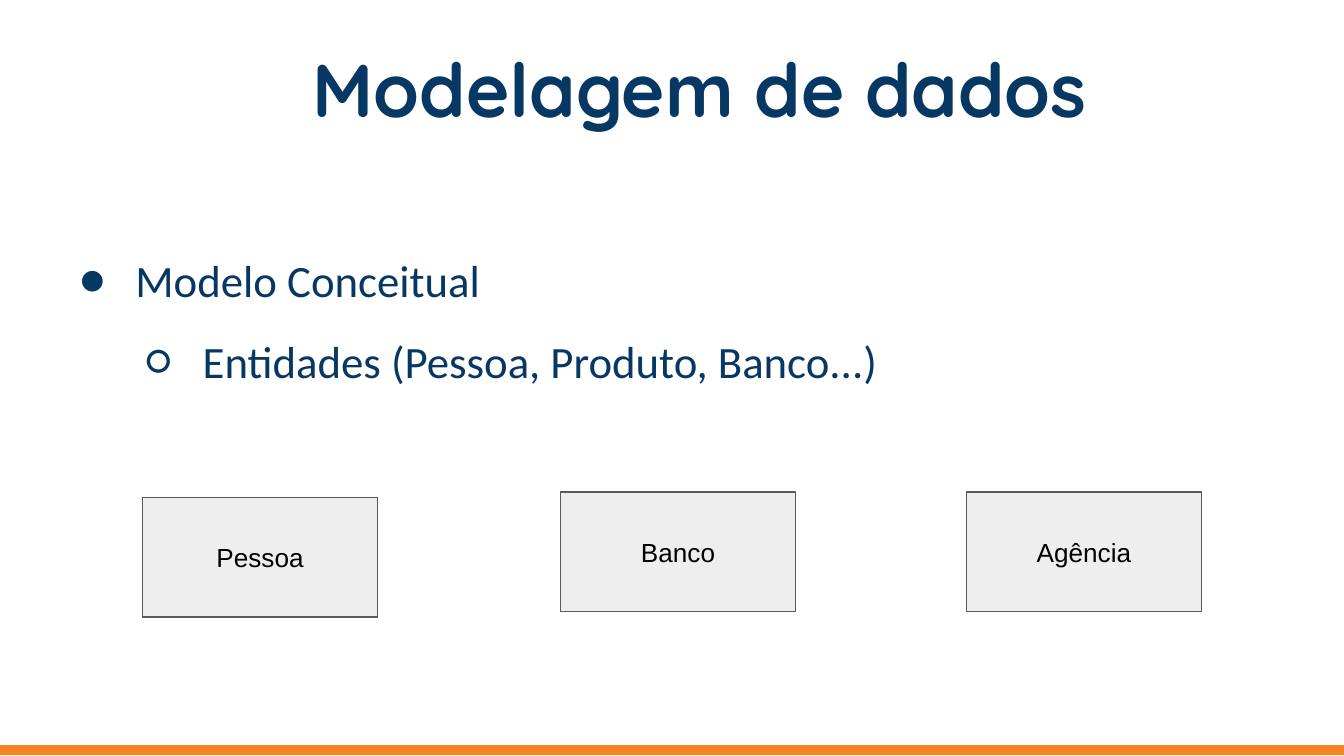
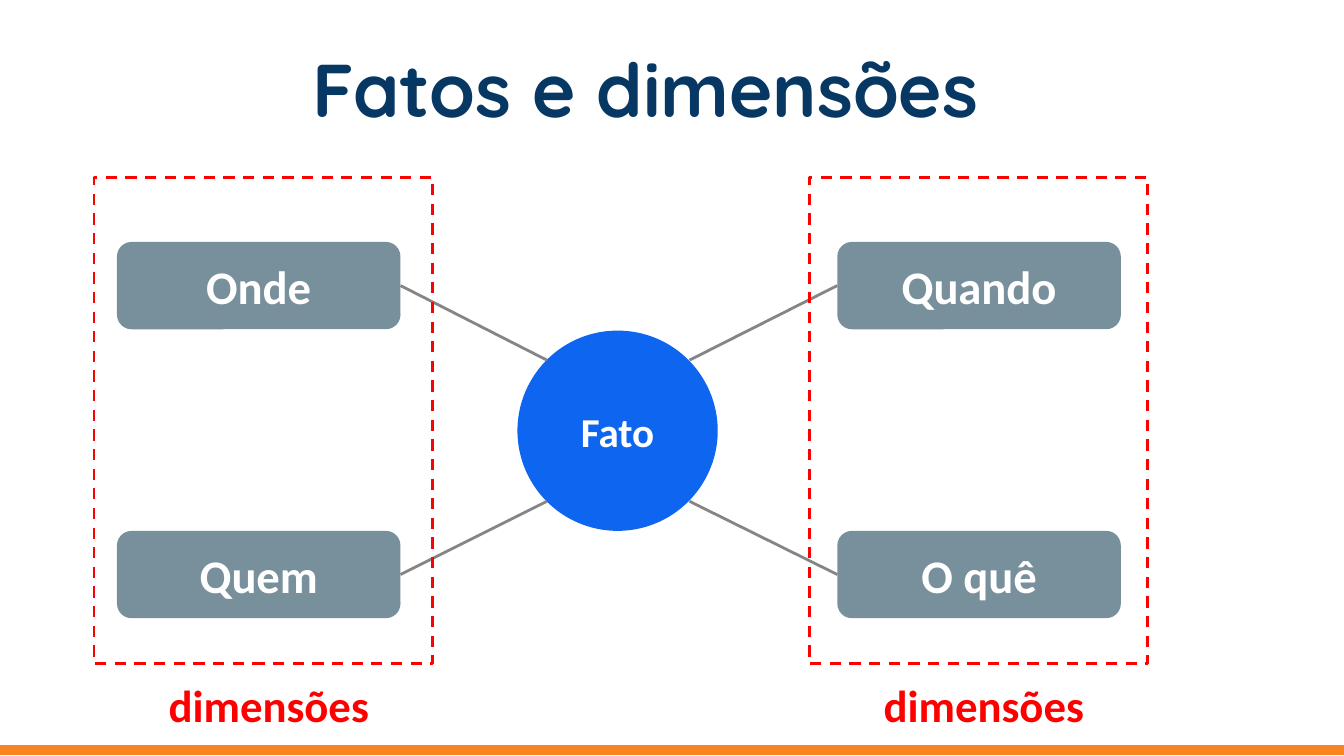
from dataclasses import dataclass

from lxml.etree import SubElement
from pptx import Presentation
from pptx.dml.color import RGBColor
from pptx.enum.dml import MSO_LINE
from pptx.enum.shapes import MSO_CONNECTOR, MSO_SHAPE
from pptx.enum.text import MSO_ANCHOR, PP_ALIGN
from pptx.oxml.ns import qn
from pptx.util import Inches, Pt


@dataclass(frozen=True)
class Theme:
    """Colours, fonts and type sizes shared by the slides."""

    navy: str = "073763"
    orange: str = "F78321"
    entity_fill: str = "EEEEEE"
    entity_line: str = "595959"
    fact: str = "0E65F0"
    dimension: str = "78909C"
    link: str = "858585"
    red: str = "FF0000"
    white: str = "FFFFFF"
    black: str = "000000"
    title_font: str = "Quicksand"
    body_font: str = "Calibri"
    entity_font: str = "Arial"
    title_size: int = 40
    body_size: int = 24
    dimension_size: int = 25
    fact_size: int = 22
    entity_size: int = 14


THEME = Theme()
TITLE = {"name": THEME.title_font, "size": THEME.title_size, "color": THEME.navy, "bold": True}
BODY = {"name": THEME.body_font, "size": THEME.body_size, "color": THEME.navy}
ENTITY = {"name": THEME.entity_font, "size": THEME.entity_size, "color": THEME.black}
DIMENSION = {"name": THEME.body_font, "size": THEME.dimension_size, "color": THEME.white, "bold": True}
FACT = DIMENSION | {"size": THEME.fact_size}
GROUP_LABEL = BODY | {"color": THEME.red, "bold": True}


def set_attributes(target, values):
    """Assign each value of a dict to the attribute it names."""
    for name, value in values.items():
        setattr(target, name, value)


def add_run(paragraph, text, style):
    """Add one formatted run to a paragraph."""
    run = paragraph.add_run()
    run.text = text
    values = dict(style)
    run.font.color.rgb = RGBColor.from_string(values.pop("color"))
    set_attributes(run.font, values | {"size": Pt(values["size"])})


def prepare_frame(shape, anchor):
    """Set wrapping, anchor and equal insets, and return the text frame."""
    inset = Inches(0.1)
    frame = shape.text_frame
    set_attributes(frame, {
        "word_wrap": True, "vertical_anchor": anchor,
        "margin_left": inset, "margin_right": inset,
        "margin_top": inset, "margin_bottom": inset,
    })
    return frame


def add_text(slide, box, text, style, anchor=MSO_ANCHOR.TOP, align=PP_ALIGN.LEFT, indent=0):
    """Add a text box with a single paragraph."""
    shape = slide.shapes.add_textbox(*map(Inches, box))
    paragraph = prepare_frame(shape, anchor).paragraphs[0]
    paragraph.alignment = align
    if indent:
        paragraph._p.get_or_add_pPr().set("marL", str(Inches(indent)))
    add_run(paragraph, text, style)


def add_bullets(slide, box, items, style):
    """Add a text box of bulleted paragraphs given as level and text."""
    shape = slide.shapes.add_textbox(*map(Inches, box))
    frame = prepare_frame(shape, MSO_ANCHOR.TOP)
    for index, (level, text) in enumerate(items):
        paragraph = frame.add_paragraph() if index else frame.paragraphs[0]
        set_attributes(paragraph, {"level": level, "line_spacing": 1.5})
        properties = paragraph._p.get_or_add_pPr()
        properties.set("marL", str(Inches(0.5 * (level + 1))))
        properties.set("indent", str(Inches(-0.42)))
        bullet_color = SubElement(properties, qn("a:buClr"))
        SubElement(bullet_color, qn("a:srgbClr"), val=style["color"])
        SubElement(properties, qn("a:buFont"), typeface=style["name"])
        SubElement(properties, qn("a:buChar"), char="●○"[level])
        add_run(paragraph, text, style)


def add_box(slide, kind, box, fill=None, line=None, width=0.75, dash=None, text=None, style=None):
    """Add a preset shape with optional fill, outline and centred text."""
    shape = slide.shapes.add_shape(kind, *map(Inches, box))
    shape.shadow.inherit = False
    if fill:
        shape.fill.solid()
        shape.fill.fore_color.rgb = RGBColor.from_string(fill)
    else:
        shape.fill.background()
    if line:
        shape.line.color.rgb = RGBColor.from_string(line)
        set_attributes(shape.line, {"width": Pt(width), "dash_style": dash})
    else:
        shape.line.fill.background()
    if text:
        paragraph = prepare_frame(shape, MSO_ANCHOR.MIDDLE).paragraphs[0]
        paragraph.alignment = PP_ALIGN.CENTER
        add_run(paragraph, text, style)
    return shape


def add_link(slide, dimension, site, end):
    """Add a straight line from a side of a dimension box to a point."""
    link = slide.shapes.add_connector(MSO_CONNECTOR.STRAIGHT, 0, 0, *map(Inches, end))
    link.begin_connect(dimension, site)
    link.line.color.rgb = RGBColor.from_string(THEME.link)
    link.line.width = Pt(1.5)
    SubElement(link._element.spPr, qn("a:effectLst"))


def add_base_slide(presentation, title):
    """Add a blank slide with the shared title and bottom band."""
    slide = presentation.slides.add_slide(presentation.slide_layouts[6])
    add_text(slide, (2.23, 0.33, 7.43, 0.65), title, TITLE, MSO_ANCHOR.MIDDLE)
    add_box(slide, MSO_SHAPE.RECTANGLE, (0, 5.55, 10, 0.06), THEME.orange, THEME.orange)
    return slide


def build_modeling_slide(presentation):
    """Build the slide on the conceptual model and its entities."""
    slide = add_base_slide(presentation, "Modelagem de dados")
    items = [(0, "Modelo Conceitual"), (1, "Entidades (Pessoa, Produto, Banco...)")]
    add_bullets(slide, (0.41, 1.58, 9.27, 2.35), items, BODY)
    entities = [("Pessoa", 1.06, 3.7), ("Banco", 4.17, 3.66), ("Agência", 7.19, 3.66)]
    for name, left, top in entities:
        add_box(slide, MSO_SHAPE.RECTANGLE, (left, top, 1.75, 0.89),
                THEME.entity_fill, THEME.entity_line, text=name, style=ENTITY)


def build_facts_slide(presentation):
    """Build the slide linking a fact to its four dimensions."""
    slide = add_base_slide(presentation, "Fatos e dimensões")
    add_box(slide, MSO_SHAPE.OVAL, (3.85, 2.46, 1.49, 1.49), THEME.fact, text="Fato", style=FACT)
    left_side, right_side = 1, 3
    columns = [
        (0.87, 0.7, right_side, 4.07, ("Onde", "Quem")),
        (6.23, 6.02, left_side, 5.13, ("Quando", "O quê")),
    ]
    rows = [(1.8, 2.68), (3.95, 3.73)]
    links = []
    for left, _, site, link_x, names in columns:
        for name, (top, link_y) in zip(names, rows):
            dimension = add_box(slide, MSO_SHAPE.ROUNDED_RECTANGLE, (left, top, 2.11, 0.65),
                                THEME.dimension, text=name, style=DIMENSION)
            links.append((dimension, site, (link_x, link_y)))
    for link in links:
        add_link(slide, *link)
    group_lefts = [column[1] for column in columns]
    for left in group_lefts:
        add_box(slide, MSO_SHAPE.RECTANGLE, (left, 1.32, 2.52, 3.62),
                line=THEME.red, width=1.5, dash=MSO_LINE.DASH)
    for left in group_lefts:
        add_text(slide, (left, 4.94, 2.52, 0.61), "dimensões", GROUP_LABEL,
                 align=PP_ALIGN.CENTER, indent=0.08)


def main():
    """Create and save the presentation."""
    presentation = Presentation()
    width = Inches(10)
    set_attributes(presentation, {"slide_width": width, "slide_height": width * 9 // 16})
    build_modeling_slide(presentation)
    build_facts_slide(presentation)
    presentation.save("out.pptx")


if __name__ == "__main__":
    main()
